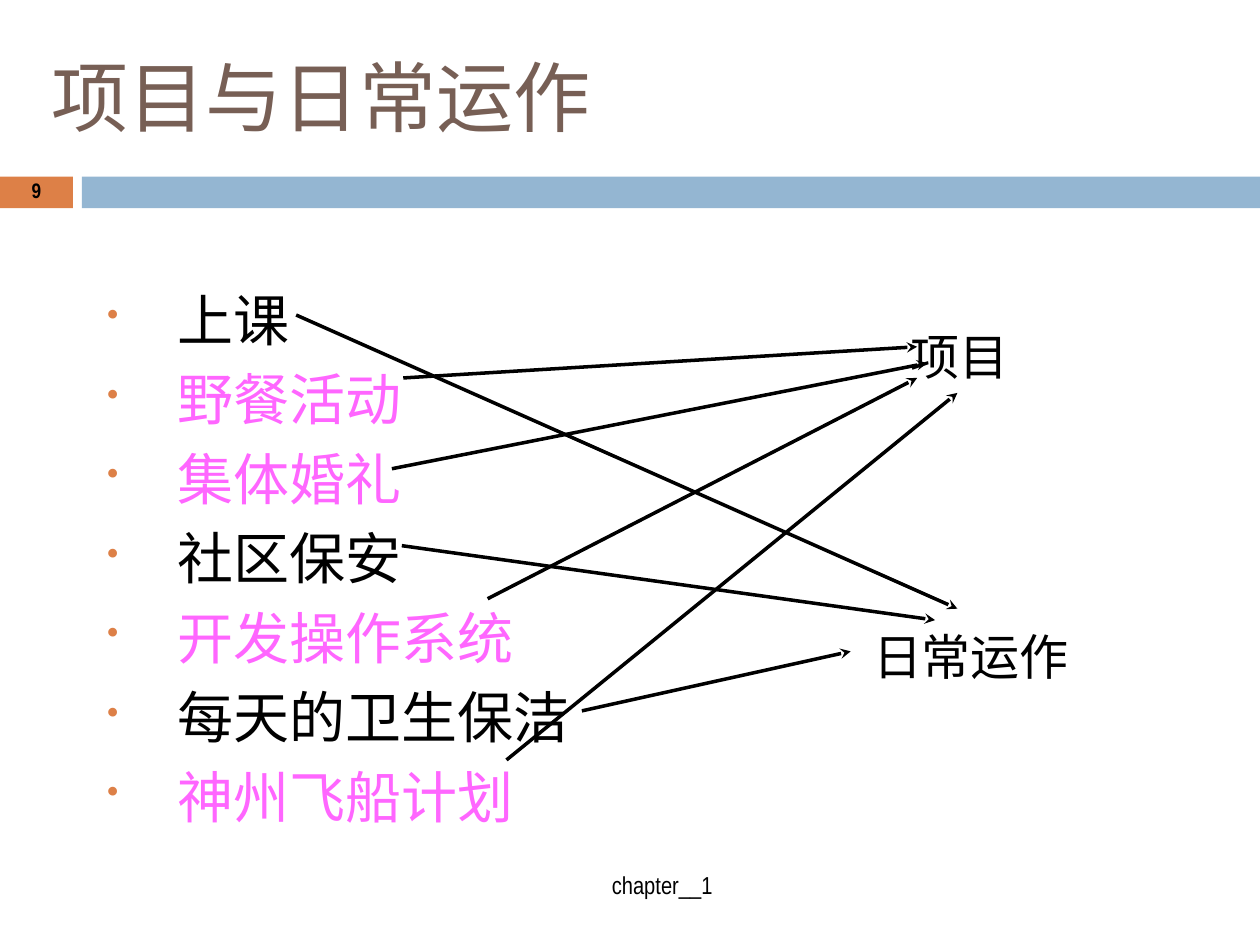
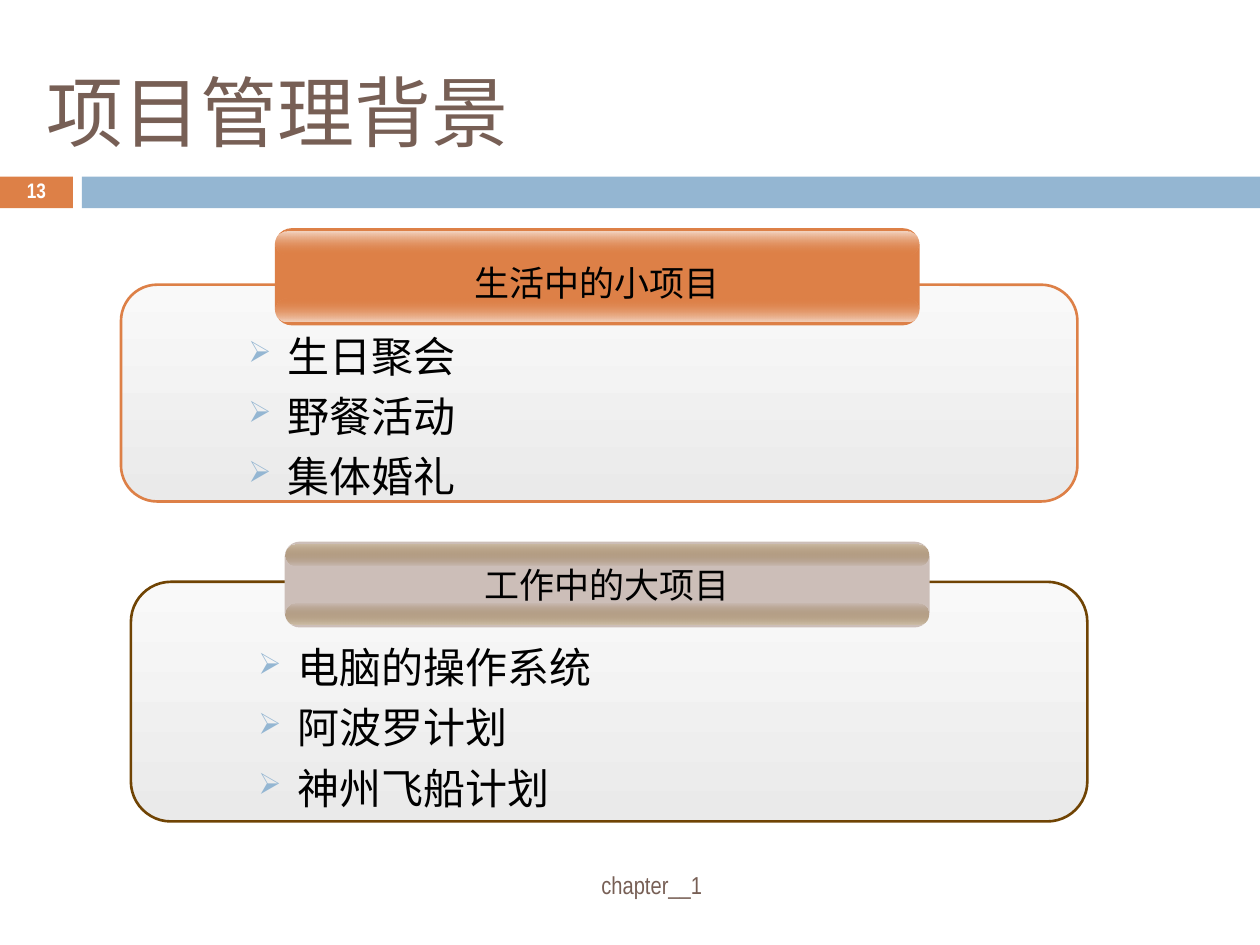
from lxml.etree import SubElement
from pptx import Presentation
from pptx.dml.color import RGBColor
from pptx.enum.shapes import MSO_CONNECTOR, MSO_SHAPE
from pptx.enum.text import MSO_ANCHOR, PP_ALIGN
from pptx.oxml.ns import qn
from pptx.util import Cm, Pt

ORANGE, BLUE, TAUPE, BROWN = "DD8047", "94B6D2", "775F55", "704404"
BLACK, WHITE, PINK = "000000", "FFFFFF", "FF66FF"
TITLE_FONT, BODY_FONT, LATIN_FONT = "Noto Sans CJK SC", "Noto Sans CJK JP", "Arial Narrow"


def color(hex_string):
    return RGBColor.from_string(hex_string)


def lengths(box):
    return [Cm(value) for value in box]


def add_text(slide, box, lines, size, font, colors=(BLACK,), align=PP_ALIGN.LEFT,
             anchor=MSO_ANCHOR.TOP, bold=False, space_before=0):
    """Write one paragraph per line; the colours repeat if there are fewer of them."""
    text_frame = slide.shapes.add_textbox(*lengths(box)).text_frame
    text_frame.word_wrap = True
    text_frame.vertical_anchor = anchor
    text_frame.text = "\n".join(lines)
    chinese = font != LATIN_FONT
    if chinese:
        text_frame.margin_top = Pt(3.6 + 0.1 * size)
    for index, paragraph in enumerate(text_frame.paragraphs):
        paragraph.alignment = align
        if chinese:
            paragraph.line_spacing = Pt(1.2 * size)
        if index:
            paragraph.space_before = Pt(space_before)
        run = paragraph.runs[0]
        run.font.size, run.font.bold, run.font.name = Pt(size), bold, font
        run.font.color.rgb = color(colors[index % len(colors)])
        SubElement(run.font._element, qn("a:ea"), typeface=font)
    return text_frame


def add_bullets(text_frame, character, hex_string, percent, left, hanging):
    for paragraph in text_frame.paragraphs:
        properties = paragraph._p.get_or_add_pPr()
        properties.set("marL", str(Cm(left)))
        properties.set("indent", str(-Cm(hanging)))
        bullet_color = SubElement(properties, qn("a:buClr"))
        SubElement(bullet_color, qn("a:srgbClr"), val=hex_string)
        SubElement(properties, qn("a:buSzPct"), val=str(percent * 1000))
        SubElement(properties, qn("a:buChar"), char=character)


def add_box(shapes, kind, box, fill=None, line=None, adjustment=None):
    shape = shapes.add_shape(kind, *lengths(box))
    shape.shadow.inherit = False
    if fill:
        shape.fill.solid()
        shape.fill.fore_color.rgb = color(fill)
    if line:
        shape.line.color.rgb = color(line)
        shape.line.width = Pt(1.5)
    else:
        shape.line.fill.background()
    if adjustment is not None:
        shape.adjustments[0] = adjustment
    return shape


def fill_gradient(shape, top, bottom, clear=None):
    """Shade from top to bottom; the stop numbered clear is transparent."""
    shape.fill.gradient()
    shape.fill.gradient_angle = 270
    for index, (stop, hex_string) in enumerate(zip(shape.fill.gradient_stops, (top, bottom))):
        stop.position = index
        stop.color.rgb = color(hex_string)
        if index == clear:
            SubElement(stop._gs.find(qn("a:srgbClr")), qn("a:alpha"), val="0")


def add_arrow(slide, start, end):
    connector = slide.shapes.add_connector(MSO_CONNECTOR.STRAIGHT, *lengths(start + end))
    connector.line.color.rgb = color(BLACK)
    connector.line.width = Pt(2)
    SubElement(connector.line._get_or_add_ln(), qn("a:tailEnd"), type="stealth")
    SubElement(connector._element.spPr, qn("a:effectLst"))


def add_frame(presentation, title, title_box, number, number_color, footer_left, footer_color):
    """Start a slide with its bands, title, footer and number."""
    slide = presentation.slides.add_slide(presentation.slide_layouts[6])
    add_box(slide.shapes, MSO_SHAPE.RECTANGLE, (0, 3.56, 1.47, 0.64), ORANGE)
    add_box(slide.shapes, MSO_SHAPE.RECTANGLE, (1.65, 3.56, 23.75, 0.64), BLUE)
    add_text(slide, title_box, [title], 44, TITLE_FONT, [TAUPE])
    centered = {"align": PP_ALIGN.CENTER, "anchor": MSO_ANCHOR.MIDDLE}
    add_text(slide, (footer_left, 17.32, 15.06, 1.02), ["chapter__1"], 14, LATIN_FONT,
             [footer_color], **centered)
    number_text = add_text(slide, (0, 3.53, 1.47, 0.69), [number], 12, LATIN_FONT,
                           [number_color], bold=True, **centered)
    number_text.paragraphs[0].line_spacing = 0.8
    return slide


def add_matching(slide, box):
    """Activities on the left, the two categories on the right, arrows between."""
    left, top, width, height = box
    activities = [("上课", BLACK), ("野餐活动", PINK), ("集体婚礼", PINK), ("社区保安", BLACK),
                  ("开发操作系统", PINK), ("每天的卫生保洁", BLACK), ("神州飞船计划", PINK)]
    names, colors = zip(*activities)
    activity_text = add_text(slide, (left, top, 10.59, height), names, 32, BODY_FONT,
                             colors, space_before=7)
    add_bullets(activity_text, "•", ORANGE, 60, 1.42, 1.42)

    # Categories
    for name, x, y in (("日常运作", 15.44, 6.89), ("项目", 16.2, 0.84)):
        add_text(slide, (left + x, top + y, 5.51, 1.45), [name], 28, BODY_FONT)

    # Arrows, from activity to category
    arrows = [((8.3, 9.81), (17.39, 2.41)), ((7.92, 6.56), (16.58, 2.11)),
              ((6.22, 2.11), (16.58, 1.48)), ((5.99, 3.94), (16.78, 1.81)),
              ((4.06, 0.84), (17.39, 6.76)), ((6.19, 5.49), (16.94, 6.99)),
              ((9.82, 8.82), (15.24, 7.62))]
    for start, end in arrows:
        add_arrow(slide, *((left + x, top + y) for x, y in (start, end)))


def add_panel(slide, box, line, heading, items, rise, header_height, items_top,
              header_fill, glow, light_top, light_bottom):
    """Rounded panel with a glossy header over its upper edge."""
    left, top, width, height = box
    body = add_box(slide.shapes, MSO_SHAPE.ROUNDED_RECTANGLE, box, line=line, adjustment=0.167)
    fill_gradient(body, "F9F9F9", "EAEAEA")

    # Header with a light strip along its lower and upper edges
    header_left, header_top, header_width = left + 3.1, top - rise, 13
    header_bottom = header_top + header_height
    group = slide.shapes.add_group_shape()
    add_box(group.shapes, MSO_SHAPE.ROUNDED_RECTANGLE,
            (header_left, header_top, header_width, header_height), header_fill, adjustment=0.175)
    strip_height = 0.24 * header_height
    strips = [(header_bottom - 0.07 - strip_height, glow, light_bottom, 0),
              (header_top + 0.06, light_top, glow, 1)]
    for strip_top, first, last, clear in strips:
        strip = add_box(group.shapes, MSO_SHAPE.ROUNDED_RECTANGLE,
                        (header_left + 0.02, strip_top, header_width - 0.04, strip_height),
                        adjustment=0.5)
        fill_gradient(strip, first, last, clear)
    add_text(slide, (header_left, header_bottom - 1.49, header_width, 1.12), [heading], 20,
             TITLE_FONT, align=PP_ALIGN.CENTER)

    # Items
    item_text = add_text(slide, (left + 1.05, top + items_top, 14.4, 3.71), items, 24,
                         BODY_FONT, space_before=5.5)
    add_bullets(item_text, "➢", BLUE, 70, 2.06, 0.79)


def main():
    presentation = Presentation()
    presentation.slide_width, presentation.slide_height = Cm(25.4), Cm(19.05)

    slide = add_frame(presentation, "项目与日常运作", (0.79, 0.71, 21.59, 3.18),
                      "9", BLACK, 5.82, BLACK)
    add_matching(slide, (1.91, 5.51, 20.95, 11.43))

    slide = add_frame(presentation, "项目管理背景", (0.69, 1.02, 22.66, 2.54),
                      "13", WHITE, 5.61, TAUPE)
    add_panel(slide, (2.44, 5.74, 19.28, 4.37), ORANGE, "生活中的小项目",
              ["生日聚会", "野餐活动", "集体婚礼"], 1.14, 1.96, 0.71,
              ORANGE, ORANGE, "F4D7C5", "F3D3BF")
    add_panel(slide, (2.64, 11.73, 19.28, 4.83), BROWN, "工作中的大项目",
              ["电脑的操作系统", "阿波罗计划", "神州飞船计划"], 0.81, 1.73, 1,
              "CCBEB8", BROWN, "C9B8A0", "CDBEA7")

    presentation.save("out.pptx")


if __name__ == "__main__":
    main()
